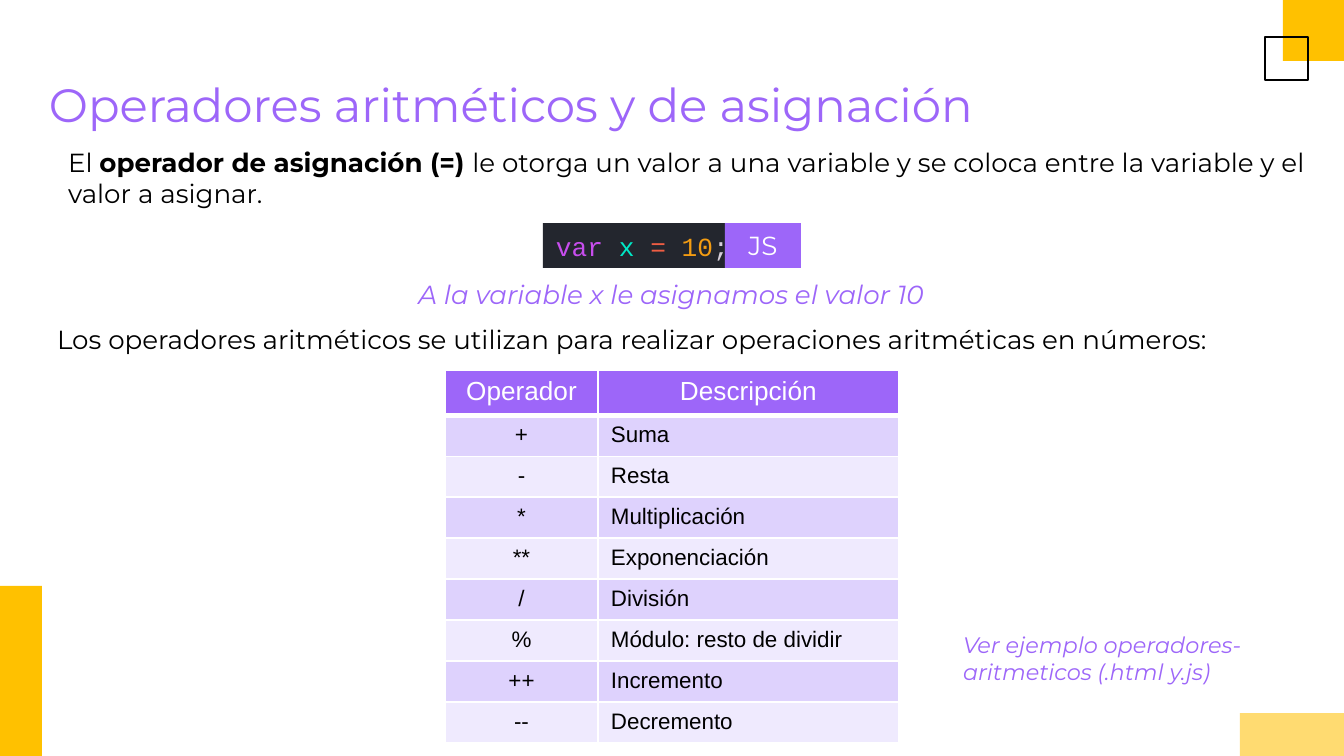
from dataclasses import dataclass

from lxml.etree import SubElement
from pptx import Presentation
from pptx.dml.color import RGBColor
from pptx.enum.shapes import MSO_SHAPE as Preset
from pptx.enum.text import MSO_ANCHOR as Anchor, MSO_AUTO_SIZE as AutoSize, PP_ALIGN as Align
from pptx.oxml.ns import qn
from pptx.util import Pt

PX = 6804  # EMU per px


@dataclass(frozen=True)
class Theme:
    sans: str = "Montserrat"
    table_font: str = "Arial"
    code_font: str = "Courier New"
    title: int = 25
    body: int = 14
    small: int = 12
    ink: str = "000000"
    white: str = "FFFFFF"
    purple: str = "9D66F9"
    bands: tuple = ("DED2FD", "EFEAFE")
    amber: str = "FFC100"
    pale_amber: str = "FFDB71"
    code_back: str = "23262E"
    keyword: str = "C74DED"
    name: str = "00E8C6"
    operator: str = "EE5D43"
    number: str = "F39C12"
    punctuation: str = "D5CED9"


theme = Theme()


def add_rect(box, fill=None, line=None):
    rect = slide.shapes.add_shape(Preset.RECTANGLE, *(v * PX for v in box))
    rect.shadow.inherit = False
    if fill:
        rect.fill.solid()
        rect.fill.fore_color.rgb = RGBColor.from_string(fill)
    else:
        rect.fill.background()
    if line:
        rect.line.color.rgb = RGBColor.from_string(line)
        rect.line.width = Pt(1.5)
    else:
        rect.line.fill.background()
    return rect


def write(frame, runs, size, font=theme.sans, align=Align.LEFT, italic=False,
          inset=13, anchor=Anchor.TOP):
    """Fill a text frame with one paragraph of (text, colour, bold) runs."""
    frame.word_wrap = True
    frame.vertical_anchor = anchor
    frame.margin_left = frame.margin_right = 13 * PX
    frame.margin_top = frame.margin_bottom = inset * PX
    paragraph = frame.paragraphs[0]
    paragraph.alignment = align
    for text, color, bold in runs:
        run = paragraph.add_run()
        run.text = text
        run.font.name = font
        run.font.size = Pt(size)
        run.font.bold = bold
        run.font.italic = italic
        run.font.color.rgb = RGBColor.from_string(color)


deck = Presentation()
deck.slide_width, deck.slide_height = 1344 * PX, 756 * PX
slide = deck.slides.add_slide(deck.slide_layouts[5])

# Corner decoration
add_rect((1283, 0, 61, 61), fill=theme.amber)
add_rect((0, 586, 42, 170), fill=theme.amber)
add_rect((1265, 37, 43, 43), line=theme.ink)
add_rect((1240, 713, 104, 43), fill=theme.pale_amber)

# Title
title = slide.shapes.title
title.left, title.top, title.width, title.height = (v * PX for v in (36, 63, 1273, 85))
title.text_frame.auto_size = AutoSize.NONE
write(title.text_frame, [("Operadores aritméticos y de asignación", theme.purple, False)],
      theme.title)

# Explanations
assignment = [
    ("El ", theme.ink, False),
    ("operador de asignación (=) ", theme.ink, True),
    ("le otorga un valor a una variable y se coloca entre la variable y el valor a asignar.",
     theme.ink, False),
]
result = [("A la variable x le asignamos el valor 10", theme.purple, False)]
arithmetic = [("Los operadores aritméticos se utilizan para realizar operaciones "
               "aritméticas en números:", theme.ink, False)]
example = [("Ver ejemplo operadores-aritmeticos (.html y.js)", theme.purple, False)]
for box, runs, size, align, italic in [
    ((55, 133, 1265, 89), assignment, theme.body, Align.LEFT, False),
    ((393, 265, 557, 56), result, theme.body, Align.CENTER, True),
    ((44, 310, 1265, 59), arithmetic, theme.body, Align.LEFT, False),
    ((950, 618, 337, 83), example, theme.small, Align.LEFT, True),
]:
    note = slide.shapes.add_textbox(*(v * PX for v in box))
    write(note.text_frame, runs, size, align=align, italic=italic)

# Code sample with its language tag
code = add_rect((543, 223, 258, 45), fill=theme.code_back)
write(code.text_frame, [
    ("var ", theme.keyword, False),
    ("x ", theme.name, False),
    ("= ", theme.operator, False),
    ("10", theme.number, False),
    (";", theme.punctuation, False),
], theme.body, font=theme.code_font, inset=7)
language = add_rect((725, 223, 76, 45), fill=theme.purple)
write(language.text_frame, [("JS", theme.white, False)], theme.body,
      align=Align.CENTER, anchor=Anchor.MIDDLE)

# Operator table
operators = [
    ("Operador", "Descripción"),
    ("+", "Suma"),
    ("-", "Resta"),
    ("*", "Multiplicación"),
    ("**", "Exponenciación"),
    ("/", "División"),
    ("%", "Módulo: resto de dividir"),
    ("++", "Incremento"),
    ("--", "Decremento"),
]
HEADER, BODY = 43, 323
table = slide.shapes.add_table(len(operators), 2, 445 * PX, 370 * PX,
                               454 * PX, (HEADER + BODY) * PX).table
for column, width in zip(table.columns, (153, 301)):
    column.width = width * PX
for r, entry in enumerate(operators):
    header = r == 0
    table.rows[r].height = HEADER * PX if header else BODY * PX // (len(operators) - 1)
    for c, text in enumerate(entry):
        cell = table.cell(r, c)
        properties = cell._tc.get_or_add_tcPr()
        for side in ("lnL", "lnR", "lnT", "lnB"):
            thick = (header and side == "lnB") or (r == 1 and side == "lnT")
            border = SubElement(properties, qn(f"a:{side}"), w=str(Pt(3 if thick else 1)))
            paint = SubElement(border, qn("a:solidFill"))
            SubElement(paint, qn("a:srgbClr"), val=theme.white)
        cell.fill.solid()
        cell.fill.fore_color.rgb = RGBColor.from_string(
            theme.purple if header else theme.bands[(r - 1) % 2])
        write(cell.text_frame, [(text, theme.white if header else theme.ink, False)],
              theme.body if header else theme.small, font=theme.table_font,
              align=Align.CENTER if header or c == 0 else Align.LEFT)
        cell.margin_left = cell.margin_right = 13 * PX
        cell.margin_top = cell.margin_bottom = 7 * PX
        cell.vertical_anchor = Anchor.TOP

deck.save("out.pptx")
